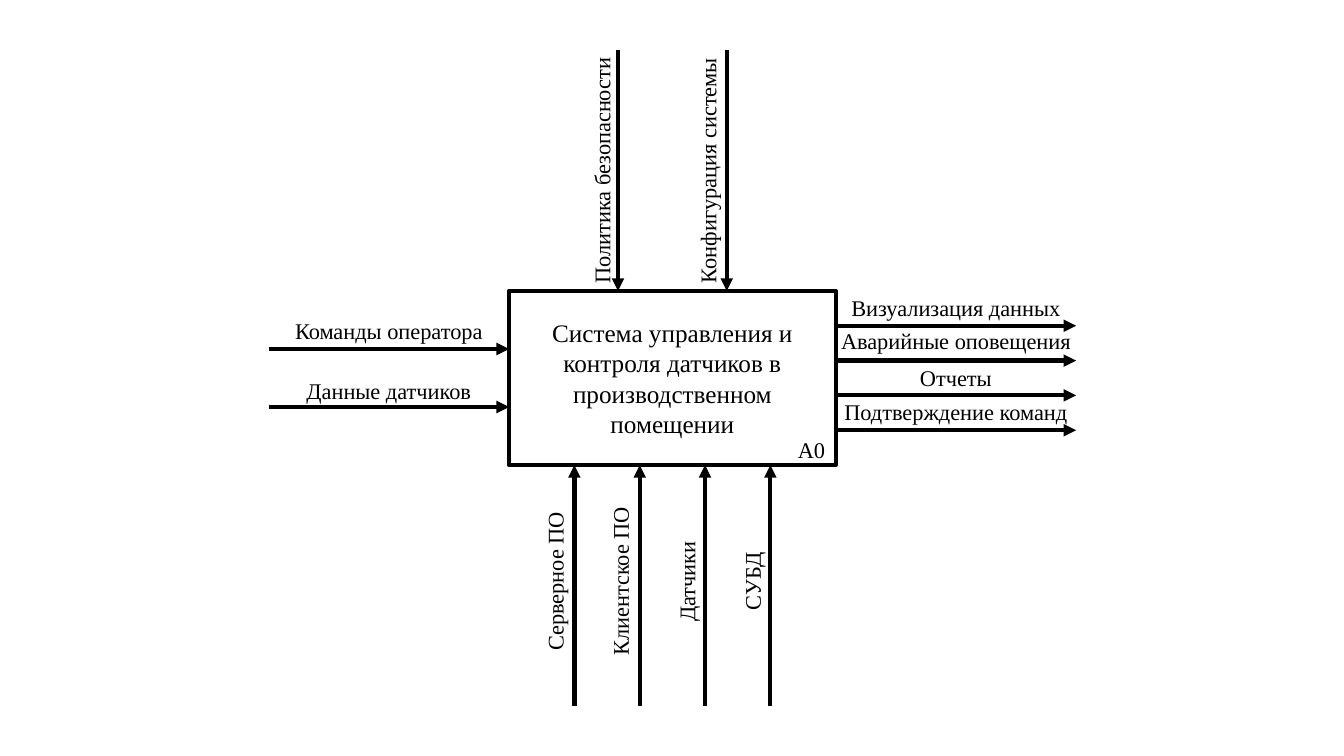
from lxml import etree
from pptx import Presentation
from pptx.dml.color import RGBColor
from pptx.enum.shapes import MSO_CONNECTOR, MSO_SHAPE
from pptx.enum.text import MSO_ANCHOR, MSO_AUTO_SIZE, PP_ALIGN
from pptx.oxml.ns import qn
from pptx.util import Cm, Pt

STRAIGHT = MSO_CONNECTOR.STRAIGHT
RECTANGLE = MSO_SHAPE.RECTANGLE
MIDDLE = MSO_ANCHOR.MIDDLE
FIT_SHAPE = MSO_AUTO_SIZE.SHAPE_TO_FIT_TEXT
CENTER = PP_ALIGN.CENTER

SYSTEM = "Система управления и контроля датчиков в производственном помещении"
NODE = "A0"
INPUTS = [("Команды оператора", 0.45), ("Данные датчиков", 0.4)]
OUTPUTS = [
    ("Визуализация данных", 0.45),
    ("Аварийные оповещения", 0.49),
    ("Отчеты", 0.45),
    ("Подтверждение команд", 0.47),
]
CONTROLS = [("Политика безопасности", 0.41), ("Конфигурация системы", 0.48)]
MECHANISMS = [
    ("Серверное ПО", 0.49),
    ("Клиентское ПО", 0.49),
    ("Датчики", 0.46),
    ("СУБД", 0.46),
]

FONT = "Times New Roman"
INK = "000000"
PAPER = "FFFFFF"
LEFT, TOP, WIDTH, HEIGHT = 12.83, 7.33, 8.23, 4.39
RIGHT, BOTTOM = LEFT + WIDTH, TOP + HEIGHT
REACH = 6.06
LABEL_WIDTH, LABEL_HEIGHT = 6.4, 0.94


def color(value):
    return RGBColor.from_string(value)


def write(shape, text, size):
    frame = shape.text_frame
    frame.word_wrap = True
    para = frame.paragraphs[0]
    para.alignment = CENTER
    span = para.add_run()
    span.text = text
    span.font.name = FONT
    span.font.size = Pt(size)
    span.font.color.rgb = color(INK)
    return frame


def add_system(page):
    box = page.shapes.add_shape(RECTANGLE, Cm(LEFT), Cm(TOP), Cm(WIDTH), Cm(HEIGHT))
    box.shadow.inherit = False
    box.fill.solid()
    box.fill.fore_color.rgb = color(PAPER)
    box.line.color.rgb = color(INK)
    box.line.width = Pt(3)
    write(box, SYSTEM, 18).vertical_anchor = MIDDLE


def add_label(page, text, center_x, center_y, width=LABEL_WIDTH, rotation=0):
    label = page.shapes.add_textbox(
        Cm(center_x - width / 2), Cm(center_y - LABEL_HEIGHT / 2),
        Cm(width), Cm(LABEL_HEIGHT),
    )
    label.rotation = rotation
    write(label, text, 16).auto_size = FIT_SHAPE


def add_arrow(page, start_x, start_y, end_x, end_y):
    arrow = page.shapes.add_connector(
        STRAIGHT, Cm(start_x), Cm(start_y), Cm(end_x), Cm(end_y)
    )
    arrow.line.color.rgb = color(INK)
    arrow.line.width = Pt(3)
    etree.SubElement(arrow.line._get_or_add_ln(), qn("a:tailEnd"), type="triangle")
    etree.SubElement(arrow._element.spPr, qn("a:effectLst"))


def add_rows(page, flows, start, end):
    for number, (text, gap) in enumerate(flows, 1):
        y = TOP + HEIGHT * number / (len(flows) + 1)
        add_arrow(page, start, y, end, y)
        add_label(page, text, (start + end) / 2, y - gap)


def add_columns(page, flows, start, end, shift=0):
    for number, (text, gap) in enumerate(flows, 1):
        x = LEFT + WIDTH * number / (len(flows) + 1)
        add_arrow(page, x, start, x, end)
        add_label(page, text, x - gap, (start + end) / 2 + shift, rotation=270)


def main():
    deck = Presentation()
    deck.slide_width, deck.slide_height = Cm(33.87), Cm(19.05)
    page = deck.slides.add_slide(deck.slide_layouts[6])
    add_system(page)
    add_label(page, NODE, RIGHT - 0.61, BOTTOM - 0.38, width=1.68)
    add_rows(page, INPUTS, LEFT - REACH, LEFT)
    add_rows(page, OUTPUTS, RIGHT, RIGHT + REACH)
    add_columns(page, CONTROLS, TOP - REACH, TOP)
    add_columns(page, MECHANISMS, BOTTOM + REACH, BOTTOM, shift=-0.1)
    deck.save("out.pptx")


if __name__ == "__main__":
    main()
